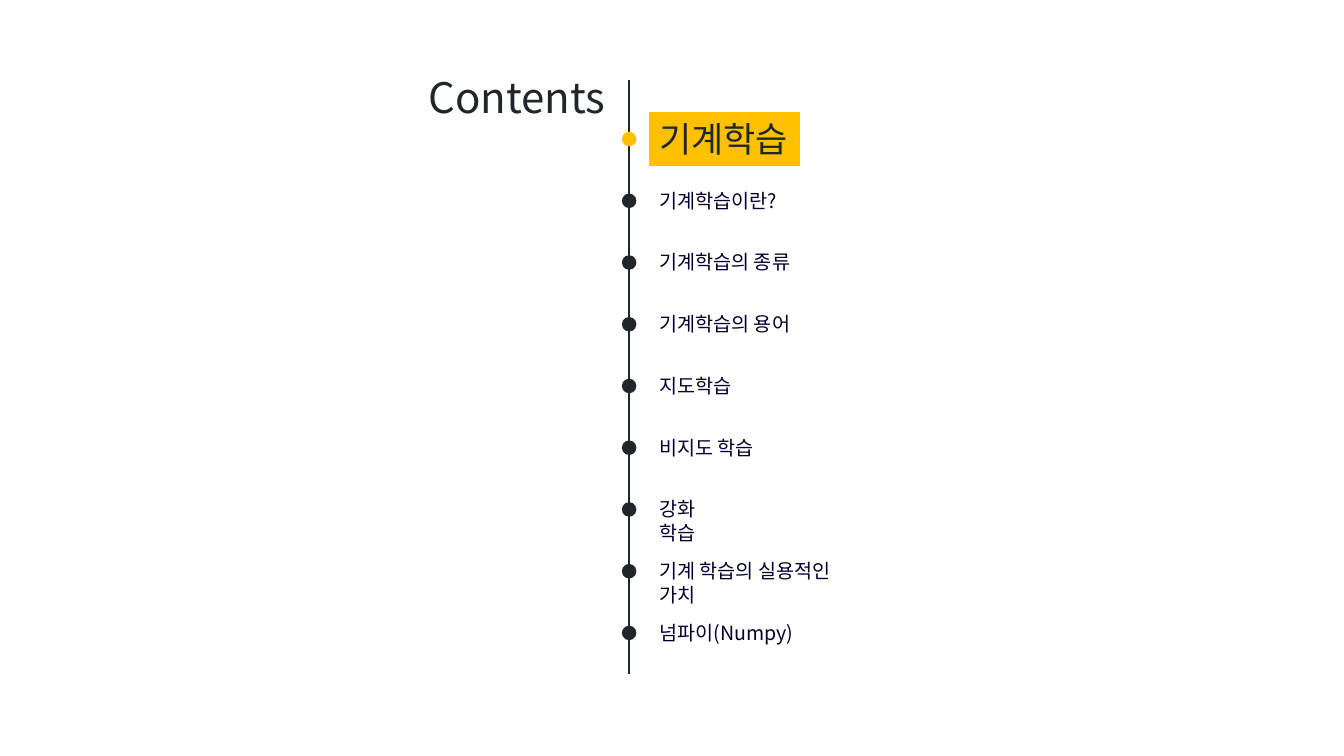
from dataclasses import dataclass

from lxml import etree
from pptx import Presentation
from pptx import util as u
from pptx.dml.color import RGBColor
from pptx.enum import shapes, text
from pptx.oxml.ns import qn


@dataclass(frozen=True)
class Theme:
    font: str = "Noto Sans CJK KR"
    ink: RGBColor = RGBColor.from_string("21262A")
    accent: RGBColor = RGBColor.from_string("FFC000")
    topic: RGBColor = RGBColor.from_string("00002F")
    title_size: int = 30
    chapter_size: int = 25
    topic_size: int = 14


@dataclass(frozen=True)
class Box:
    left: float
    top: float
    width: float
    height: float

    def inches(self):
        return [u.Inches(v) for v in (self.left, self.top, self.width, self.height)]


THEME = Theme()
TITLE = "Contents"
CHAPTER = "기계학습"
# Topic, label width, whether it breaks at that width
TOPICS = [
    ("기계학습이란?", 1.43, False),
    ("기계학습의 종류", 1.51, False),
    ("기계학습의 용어", 1.51, False),
    ("지도학습", 0.92, False),
    ("비지도 학습", 1.15, False),
    ("강화 학습", 0.9, True),
    ("기계 학습의 실용적인 가치", 2.25, True),
    ("넘파이(Numpy)", 1.59, False),
]


def write(shape, words, size, color, wrap=False):
    frame = shape.text_frame
    frame.word_wrap = wrap
    frame.auto_size = text.MSO_AUTO_SIZE.SHAPE_TO_FIT_TEXT
    frame.vertical_anchor = text.MSO_ANCHOR.TOP
    para = frame.paragraphs[0]
    para.text = words
    para.alignment = text.PP_ALIGN.LEFT
    para.font.size = u.Pt(size)
    para.font.color.rgb = color
    para.font.name = THEME.font
    defaults = para._p.pPr.find(qn("a:defRPr"))
    etree.SubElement(defaults, qn("a:ea")).set("typeface", THEME.font)


def add_filled(page, kind, box, color, line_width):
    shape = page.shapes.add_shape(kind, *box.inches())
    shape.shadow.inherit = False
    shape.fill.solid()
    shape.fill.fore_color.rgb = color
    shape.line.color.rgb = color
    shape.line.width = u.Pt(line_width)
    return shape


def add_title(page, box):
    write(page.shapes.add_textbox(*box.inches()), TITLE, THEME.title_size, THEME.ink)


def add_timeline(page, box):
    # Vertical axis along the left edge of the box
    axis = page.shapes.add_connector(
        shapes.MSO_CONNECTOR.STRAIGHT, u.Inches(box.left), u.Inches(box.top),
        u.Inches(box.left), u.Inches(box.top + box.height))
    axis.line.color.rgb = THEME.ink
    axis.line.width = u.Pt(1.5)
    etree.SubElement(axis._element.spPr, qn("a:effectLst"))

    # One dot per row, the chapter first
    dot, label_left = 0.13, box.left + 0.2
    first, pitch = box.top + 0.1 * box.height, 0.1038 * box.height
    centers = [first + row * pitch for row in range(len(TOPICS) + 1)]
    for row, center in enumerate(centers):
        add_filled(page, shapes.MSO_SHAPE.OVAL,
                   Box(box.left - dot / 2, center - dot / 2, dot, dot),
                   THEME.ink if row else THEME.accent, 1)

    # Highlighted chapter
    height = 0.52
    chapter = add_filled(page, shapes.MSO_SHAPE.RECTANGLE,
                         Box(label_left, centers[0] - height / 2, 1.49, height),
                         THEME.accent, 0.75)
    write(chapter, CHAPTER, THEME.chapter_size, THEME.ink)

    # Topics
    height = 0.34
    for center, (words, width, wrap) in zip(centers[1:], TOPICS):
        label = Box(label_left, center - height / 2, width, height)
        write(page.shapes.add_textbox(*label.inches()), words,
              THEME.topic_size, THEME.topic, wrap)


def main():
    deck = Presentation()
    deck.slide_width, deck.slide_height = u.Inches(13.33), u.Inches(7.5)
    page = deck.slides.add_slide(deck.slide_layouts[6])
    add_title(page, Box(4.15, 0.66, 2.03, 0.61))
    add_timeline(page, Box(6.24, 0.79, 2.52, 5.9))
    deck.save("out.pptx")


if __name__ == "__main__":
    main()
